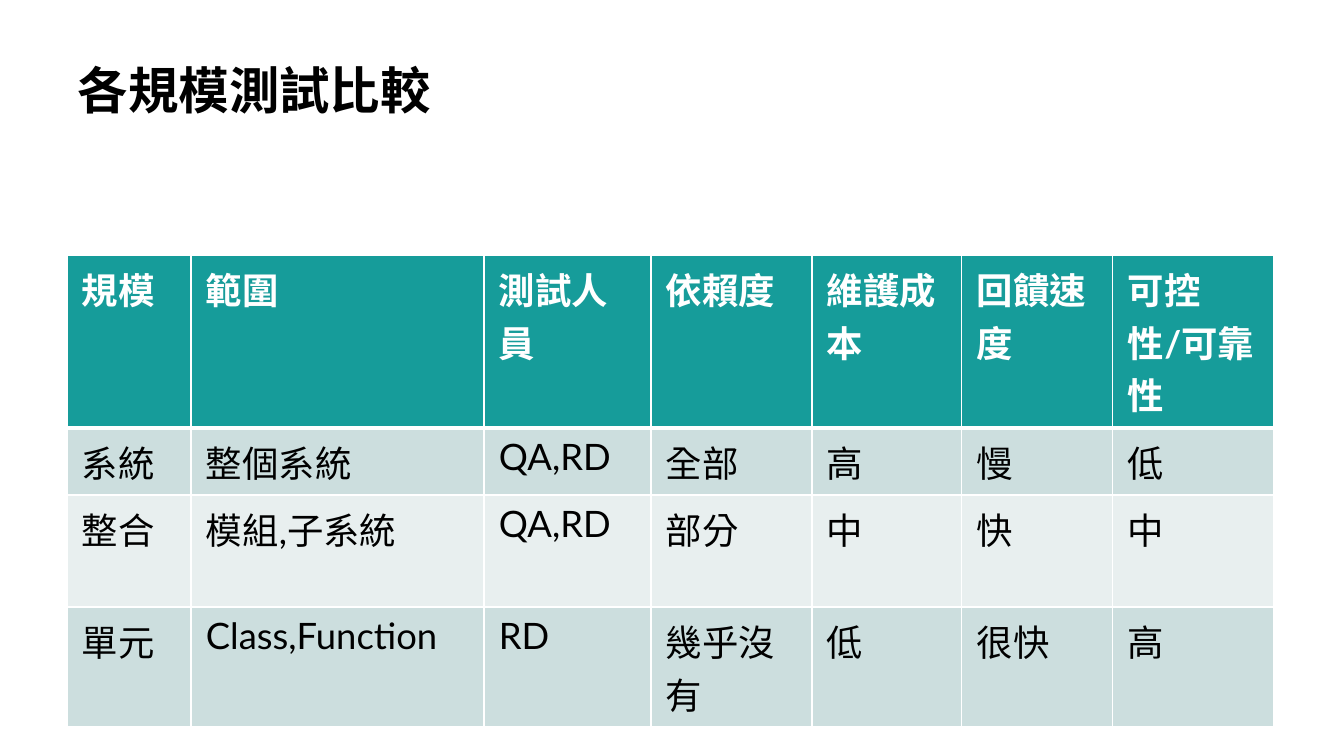
from dataclasses import dataclass

from lxml.etree import SubElement
from pptx import Presentation
from pptx.dml.color import RGBColor
from pptx.enum.lang import MSO_LANGUAGE_ID
from pptx.enum.text import MSO_ANCHOR
from pptx.oxml.ns import qn
from pptx.util import Emu, Pt

EMU_PER_PX = 914400 / 100.8


@dataclass(frozen=True)
class Theme:
    font: str = "Lato"
    title_size: int = 36
    cell_size: int = 26
    ink: str = "000000"
    white: str = "FFFFFF"
    header: str = "169C9A"
    bands: tuple = ("CCDEDE", "E8EFEF")
    thin: int = 1
    thick: int = 3


THEME = Theme()
COLUMN_WIDTHS = (124, 293, 167, 161, 150, 151, 161)
ROW_HEIGHTS = (173, 67, 112, 120)
COMPARISON = (
    ("規模", "範圍", "測試人員", "依賴度", "維護成本", "回饋速度", "可控性/可靠性"),
    ("系統", "整個系統", "QA,RD", "全部", "高", "慢", "低"),
    ("整合", "模組,子系統", "QA,RD", "部分", "中", "快", "中"),
    ("單元", "Class,Function", "RD", "幾乎沒有", "低", "很快", "高"),
)


def px(length):
    return Emu(round(length * EMU_PER_PX))


def style_text(frame, size, color, bold):
    for paragraph in frame.paragraphs:
        for span in paragraph.runs:
            span.font.name = THEME.font
            span.font.size = Pt(size)
            span.font.bold = bold
            span.font.color.rgb = RGBColor.from_string(color)
            span.font.language_id = MSO_LANGUAGE_ID.TRADITIONAL_CHINESE


def add_title(page, text, left, top, width, height):
    box = page.shapes.add_textbox(px(left), px(top), px(width), px(height))
    frame = box.text_frame
    frame.word_wrap = True
    frame.vertical_anchor = MSO_ANCHOR.TOP
    frame.text = text
    frame.paragraphs[0].line_spacing = 0.9
    style_text(frame, THEME.title_size, THEME.ink, True)


def set_border(cell, side, points):
    properties = cell._tc.get_or_add_tcPr()
    line = SubElement(properties, qn(f"a:{side}"), w=str(Pt(points)))
    fill = SubElement(line, qn("a:solidFill"))
    SubElement(fill, qn("a:srgbClr"), val=THEME.white)


def style_cell(cell, text, row):
    is_header = row == 0
    cell.margin_left = cell.margin_right = px(15)
    cell.margin_top = cell.margin_bottom = px(7)
    cell.text_frame.text = text
    color = THEME.white if is_header else THEME.ink
    style_text(cell.text_frame, THEME.cell_size, color, is_header)
    set_border(cell, "lnL", THEME.thin)
    set_border(cell, "lnR", THEME.thin)
    set_border(cell, "lnT", THEME.thick if row == 1 else THEME.thin)
    set_border(cell, "lnB", THEME.thick if is_header else THEME.thin)
    band = THEME.header if is_header else THEME.bands[(row - 1) % 2]
    cell.fill.solid()
    cell.fill.fore_color.rgb = RGBColor.from_string(band)


def add_comparison_table(page, left, top):
    table = page.shapes.add_table(
        len(ROW_HEIGHTS), len(COLUMN_WIDTHS), px(left), px(top),
        px(sum(COLUMN_WIDTHS)), px(sum(ROW_HEIGHTS)),
    ).table
    table.horz_banding = False
    for column, width in zip(table.columns, COLUMN_WIDTHS):
        column.width = px(width)
    for row, height in zip(table.rows, ROW_HEIGHTS):
        row.height = px(height)
    for row, texts in enumerate(COMPARISON):
        for column, text in enumerate(texts):
            style_cell(table.cell(row, column), text, row)


def main():
    deck = Presentation()
    deck.slide_width, deck.slide_height = px(1344), px(756)
    page = deck.slides.add_slide(deck.slide_layouts[6])
    add_title(page, "各規模測試比較", 68, 61, 1206, 125)
    add_comparison_table(page, 67, 255)
    deck.save("out.pptx")


if __name__ == "__main__":
    main()
